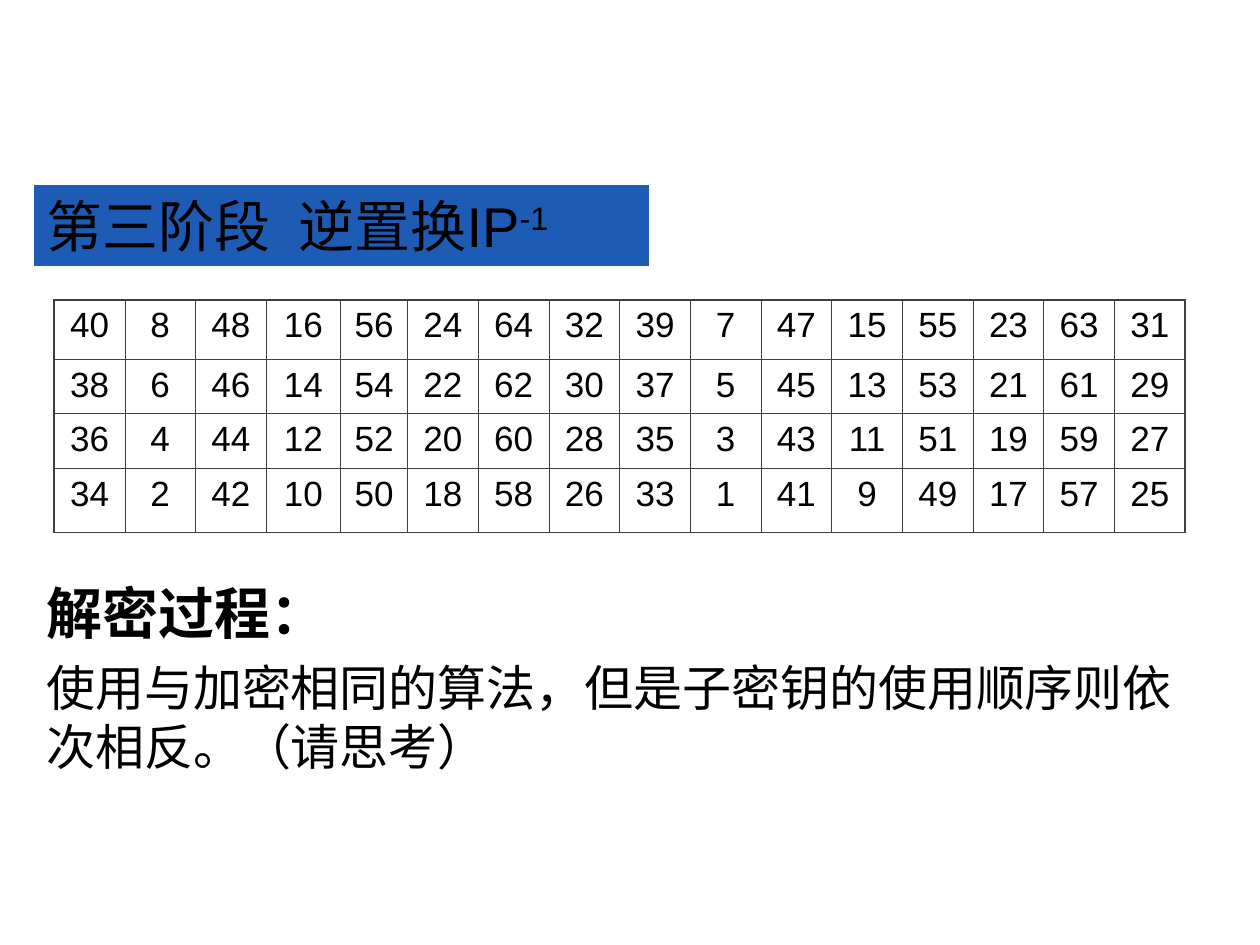
from lxml import etree
from pptx import Presentation
from pptx.dml.color import RGBColor
from pptx.enum.shapes import MSO_SHAPE
from pptx.enum.text import MSO_ANCHOR, PP_ALIGN
from pptx.oxml.ns import qn
from pptx.util import Inches, Pt

RECTANGLE = MSO_SHAPE.RECTANGLE
TOP = MSO_ANCHOR.TOP
CENTER = PP_ALIGN.CENTER

SLIDE_SIZE = (10, 7.5)
TITLE = ("第三阶段\t逆置换IP", "-1")
TITLE_TAB = 2
EXPLANATION = [
    ("解密过程：", {"size": 32, "bold": True}, 0),
    ("使用与加密相同的算法，但是子密钥的使用顺序则依次相反。（请思考）", {"size": 28, "bold": False}, 7),
]
FIRST_ROW = [40, 8, 48, 16, 56, 24, 64, 32, 39, 7, 47, 15, 55, 23, 63, 31]
ROW_STEP = 2
ROW_HEIGHTS = [0.47, 0.43, 0.43, 0.51]
COLUMN_ADJUSTMENTS = {3: 0.03, 4: -0.03}

TITLE_BOX = (0.27, 1.47, 4.88, 0.64)
TABLE_BOX = (0.43, 2.38, 8.98, sum(ROW_HEIGHTS))
EXPLANATION_BOX = (0.27, 4.54, 9.37, 2.68)

FONT = "Arial"
BLACK, BLUE, BORDER = "000000", "1E5BB4", "3D3F41"
OUTER_WIDTH, INNER_WIDTH = 1.08, 0.45


def color(value):
    """Turn a hex string into a colour."""
    return RGBColor.from_string(value)


def place(box):
    """Turn a box in inches into slide lengths."""
    return [Inches(length) for length in box]


def add_run(paragraph, text, size, bold=False):
    """Add one run of formatted text to a paragraph."""
    run = paragraph.add_run()
    run.text = text
    for name, value in {"name": FONT, "size": Pt(size), "bold": bold}.items():
        setattr(run.font, name, value)
    run.font.color.rgb = color(BLACK)
    return run


def add_explanation(slide):
    """Add the heading and text on decryption."""
    frame = slide.shapes.add_textbox(*place(EXPLANATION_BOX)).text_frame
    frame.word_wrap = True
    for index, (text, style, space_before) in enumerate(EXPLANATION):
        paragraph = frame.add_paragraph() if index else frame.paragraphs[0]
        paragraph.space_before = Pt(space_before)
        add_run(paragraph, text, **style)


def add_title(slide):
    """Add the blue title bar with its superscript."""
    bar = slide.shapes.add_shape(RECTANGLE, *place(TITLE_BOX))
    bar.shadow.inherit = False
    bar.fill.solid()
    bar.fill.fore_color.rgb = color(BLUE)
    bar.line.fill.background()
    bar.text_frame.vertical_anchor = TOP
    bar.text_frame.word_wrap = True
    paragraph = bar.text_frame.paragraphs[0]
    paragraph.alignment = PP_ALIGN.LEFT
    tabs = etree.SubElement(paragraph._p.get_or_add_pPr(), qn("a:tabLst"))
    etree.SubElement(tabs, qn("a:tab"), pos=str(Inches(TITLE_TAB)), algn="l")
    base, superscript = [add_run(paragraph, text, 32) for text in TITLE]
    superscript.font._element.set("baseline", "30000")


def add_border(cell, side, width):
    """Draw one side of a table cell."""
    line = etree.SubElement(cell._tc.get_or_add_tcPr(), qn(f"a:ln{side}"), w=str(Pt(width)))
    fill = etree.SubElement(line, qn("a:solidFill"))
    etree.SubElement(fill, qn("a:srgbClr"), val=BORDER)


def add_permutation_table(slide):
    """Add the table of the inverse permutation."""
    row_count, column_count = len(ROW_HEIGHTS), len(FIRST_ROW)
    table = slide.shapes.add_table(row_count, column_count, *place(TABLE_BOX)).table
    table.first_row = table.horz_banding = False
    for index, column in enumerate(table.columns):
        column.width = Inches(TABLE_BOX[2] / column_count + COLUMN_ADJUSTMENTS.get(index, 0))
    for row_index, height in enumerate(ROW_HEIGHTS):
        table.rows[row_index].height = Inches(height)
        for column_index, first_value in enumerate(FIRST_ROW):
            cell = table.cell(row_index, column_index)
            outer_sides = {
                "L": column_index == 0,
                "R": column_index == column_count - 1,
                "T": row_index == 0,
                "B": row_index == row_count - 1,
            }
            for side, is_outer in outer_sides.items():
                add_border(cell, side, OUTER_WIDTH if is_outer else INNER_WIDTH)
            cell.fill.background()
            paragraph = cell.text_frame.paragraphs[0]
            paragraph.alignment = CENTER
            add_run(paragraph, str(first_value - ROW_STEP * row_index), 20)


def main():
    """Build and save the slide."""
    presentation = Presentation()
    presentation.slide_width, presentation.slide_height = place(SLIDE_SIZE)
    slide = presentation.slides.add_slide(presentation.slide_layouts[6])
    add_explanation(slide)
    add_title(slide)
    add_permutation_table(slide)
    presentation.save("out.pptx")


if __name__ == "__main__":
    main()
